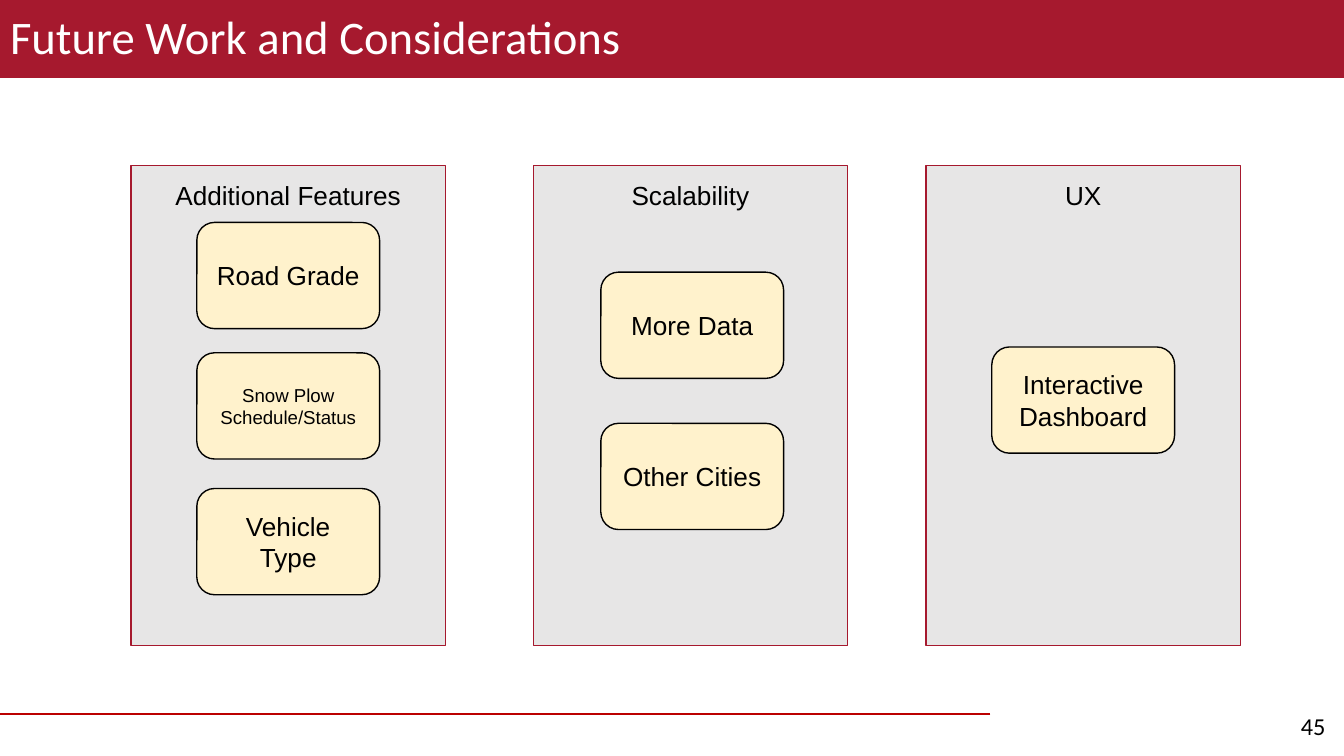
from dataclasses import dataclass

from lxml import etree
from pptx import Presentation
from pptx.dml.color import RGBColor
from pptx.enum.shapes import MSO_CONNECTOR, MSO_SHAPE
from pptx.enum.text import MSO_ANCHOR, PP_ALIGN
from pptx.oxml.ns import qn
from pptx.util import Inches, Pt

RECTANGLE, ROUNDED = MSO_SHAPE.RECTANGLE, MSO_SHAPE.ROUNDED_RECTANGLE
STRAIGHT = MSO_CONNECTOR.STRAIGHT
TOP, MIDDLE = MSO_ANCHOR.TOP, MSO_ANCHOR.MIDDLE
LEFT, CENTER, RIGHT = PP_ALIGN.LEFT, PP_ALIGN.CENTER, PP_ALIGN.RIGHT

COLUMNS, ROWS = 100, 56.25
CELL = Inches(0.1)
PANEL_TOP, PANEL_WIDTH, PANEL_HEIGHT = 12.34, 23.4, 35.7
CARD_WIDTH, CARD_HEIGHT = 13.6, 7.9
RULE_TOP, RULE_WIDTH = 53.13, 73.7
CRIMSON, RED, GRAY, CREAM = "A6192E", "BB0000", "E7E6E6", "FFF2CC"
BLACK, WHITE = "000000", "FFFFFF"


@dataclass(frozen=True)
class Box:
    left: float
    top: float
    width: float
    height: float


@dataclass(frozen=True)
class TextStyle:
    size: float = 14
    font: str = "Arial"
    color: str = BLACK
    align: PP_ALIGN = CENTER
    anchor: MSO_ANCHOR = MIDDLE
    insets: tuple[float, float] = (1, 1)
    line_spacing: float = 1.0


@dataclass(frozen=True)
class Card:
    text: str
    top: float
    size: float = 14


@dataclass(frozen=True)
class Panel:
    heading: str
    left: float
    cards: tuple[Card, ...]
    card_shift: float = 0


PANELS = (
    Panel("Additional Features", 9.75, (
        Card("Road Grade", 16.55),
        Card("Snow Plow Schedule/Status", 26.25, 10),
        Card("Vehicle Type", 36.35),
    )),
    Panel("Scalability", 39.68, (Card("More Data", 20.25), Card("Other Cities", 31.5)), 0.13),
    Panel("UX", 68.9, (Card("Interactive Dashboard", 25.82),)),
)


def cells(count: float) -> int:
    """Convert a count of grid cells to a length."""
    return round(count * CELL)


def rgb(color: str) -> RGBColor:
    """Convert a hex string to a colour."""
    return RGBColor.from_string(color)


def place(box: Box) -> tuple[int, ...]:
    """Return the position and size of a box as lengths."""
    return tuple(cells(value) for value in (box.left, box.top, box.width, box.height))


def write(shape, text: str, style: TextStyle) -> None:
    """Put one styled paragraph into a shape."""
    frame = shape.text_frame
    frame.word_wrap = True
    frame.vertical_anchor = style.anchor
    frame.margin_left = frame.margin_right = cells(style.insets[0])
    frame.margin_top = frame.margin_bottom = cells(style.insets[1])
    paragraph = frame.paragraphs[0]
    paragraph.text = text
    paragraph.alignment = style.align
    paragraph.line_spacing = style.line_spacing
    paragraph.font.size = Pt(style.size)
    paragraph.font.name = style.font
    paragraph.font.color.rgb = rgb(style.color)


def add_block(slide, kind: MSO_SHAPE, box: Box, fill: str, line: str | None,
              text: str, style: TextStyle) -> None:
    """Draw a filled shape with text."""
    shape = slide.shapes.add_shape(kind, *place(box))
    shape.shadow.inherit = False
    shape.fill.solid()
    shape.fill.fore_color.rgb = rgb(fill)
    if line:
        shape.line.color.rgb = rgb(line)
        shape.line.width = Pt(0.75)
    else:
        shape.line.fill.background()
    write(shape, text, style)


def add_panel(slide, panel: Panel) -> None:
    """Draw a headed panel with its cards."""
    box = Box(panel.left, PANEL_TOP, PANEL_WIDTH, PANEL_HEIGHT)
    add_block(slide, RECTANGLE, box, GRAY, CRIMSON, panel.heading, TextStyle(anchor=TOP))
    card_left = panel.left + (PANEL_WIDTH - CARD_WIDTH) / 2 + panel.card_shift
    for card in panel.cards:
        card_box = Box(card_left, card.top, CARD_WIDTH, CARD_HEIGHT)
        add_block(slide, ROUNDED, card_box, CREAM, BLACK, card.text, TextStyle(size=card.size))


def add_footer(slide) -> None:
    """Draw the footer rule and the slide number."""
    rule = slide.shapes.add_connector(
        STRAIGHT, cells(RULE_WIDTH), cells(RULE_TOP), 0, cells(RULE_TOP))
    rule.line.color.rgb = rgb(RED)
    rule.line.width = Pt(0.75)
    etree.SubElement(rule._element.spPr, qn("a:effectLst"))
    number = slide.shapes.add_textbox(*place(Box(93.6, 51.95, 6, 4.3)))
    write(number, "45", TextStyle(13, "Calibri", align=RIGHT, anchor=TOP))


def main() -> None:
    """Build and save the slide."""
    presentation = Presentation()
    presentation.slide_width, presentation.slide_height = cells(COLUMNS), cells(ROWS)
    slide = presentation.slides.add_slide(presentation.slide_layouts[6])
    add_footer(slide)
    for panel in PANELS:
        add_panel(slide, panel)
    title_style = TextStyle(25, "Calibri", WHITE, LEFT, insets=(0.75, 0.4), line_spacing=0.9)
    add_block(slide, RECTANGLE, Box(0, 0, COLUMNS, 5.8), CRIMSON, None,
              "Future Work and Considerations", title_style)
    presentation.save("out.pptx")


if __name__ == "__main__":
    main()
